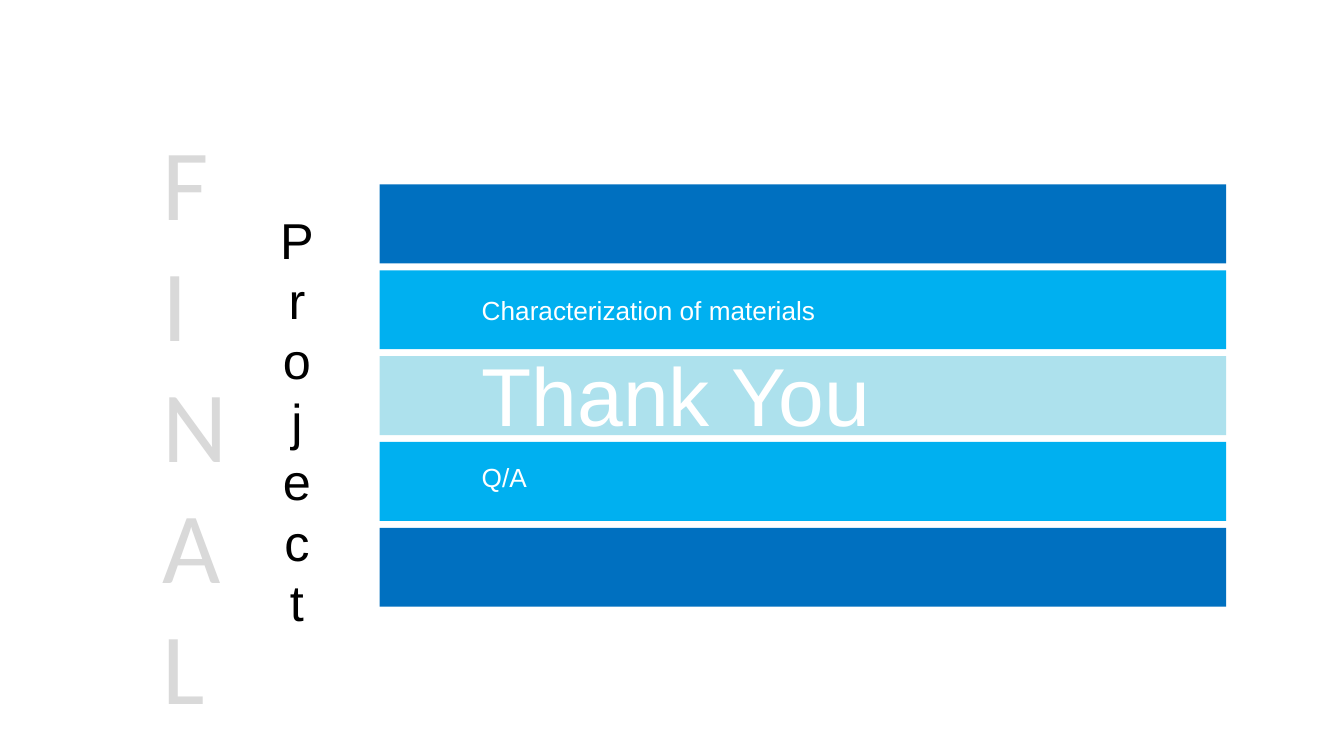
from pptx import Presentation
from pptx.dml.color import RGBColor
from pptx.enum.shapes import MSO_SHAPE
from pptx.enum.text import MSO_ANCHOR, PP_ALIGN
from pptx.util import Pt

RECTANGLE = MSO_SHAPE.RECTANGLE
TOP, MIDDLE = MSO_ANCHOR.TOP, MSO_ANCHOR.MIDDLE
LEFT, CENTER = PP_ALIGN.LEFT, PP_ALIGN.CENTER

COLORS = {
    "dark": "0070C0",
    "bright": "00B0F0",
    "pale": "ADE1ED",
    "white": "FFFFFF",
    "gray": "D9D9D9",
    "black": "000000",
}


class SlideBuilder:
    def __init__(self, page, font="Arial"):
        self.page = page
        self.font = font

    def bar(self, left, top, width, height, color):
        bar = self.page.shapes.add_shape(
            RECTANGLE, Pt(left), Pt(top), Pt(width), Pt(height))
        bar.shadow.inherit = False
        bar.fill.solid()
        bar.fill.fore_color.rgb = RGBColor.from_string(COLORS[color])
        bar.line.fill.background()

    def text(self, left, top, width, height, lines, size, color,
             font=None, anchor=MIDDLE, align=LEFT, spacing=None):
        box = self.page.shapes.add_textbox(
            Pt(left), Pt(top), Pt(width), Pt(height))
        frame = box.text_frame
        frame.word_wrap = True
        frame.vertical_anchor = anchor
        for index, line in enumerate(lines):
            para = frame.add_paragraph() if index else frame.paragraphs[0]
            para.alignment = align
            if spacing:
                para.line_spacing = Pt(spacing)
            span = para.add_run()
            span.text = line
            span.font.name = font or self.font
            span.font.size = Pt(size)
            span.font.color.rgb = RGBColor.from_string(COLORS[color])


def main():
    deck = Presentation()
    deck.slide_width, deck.slide_height = Pt(960), Pt(540)
    page = deck.slides.add_slide(deck.slide_layouts[6])
    builder = SlideBuilder(page)

    # Stack of five bars, evenly spaced
    for row, color in enumerate(["dark", "bright", "pale", "bright", "dark"]):
        builder.bar(271.2, 131.8 + row * 61.3, 604.6, 56.4, color)

    # Lines on the middle bars
    for top, height, line, size in [
        (206, 30.2, "Characterization of materials", 18.7),
        (242, 78.5, "Thank You", 58.7),
        (325.5, 30.2, "Q/A", 18.7),
    ]:
        builder.text(337, top, 449.3, height, [line], size, "white")

    # Stacked words on the left, one letter a line
    builder.text(108.7, 82, 302.4, 440, "FINAL", 72, "gray",
                 font="Calibri", anchor=TOP, spacing=86.4)
    builder.text(153.4, 144, 117.4, 312.5, "Project", 36, "black",
                 align=CENTER, spacing=43.2)

    deck.save("out.pptx")


if __name__ == "__main__":
    main()
